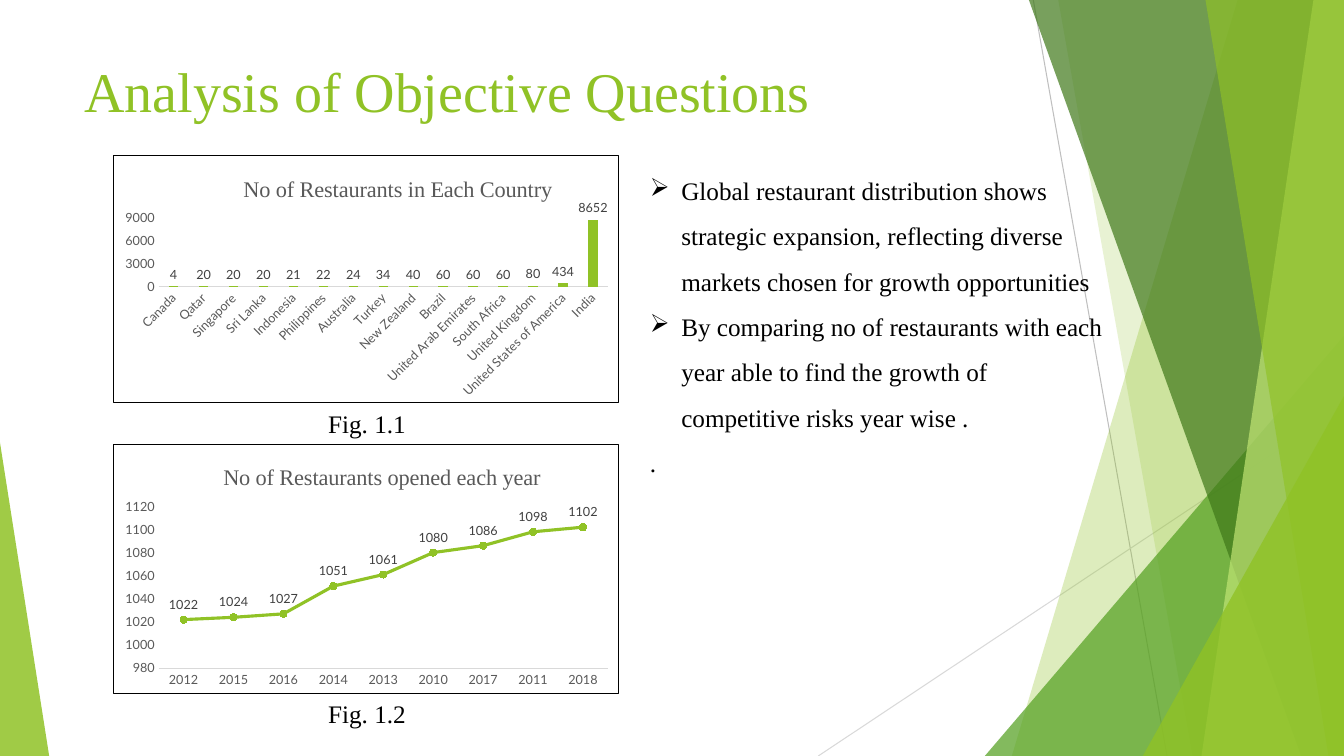
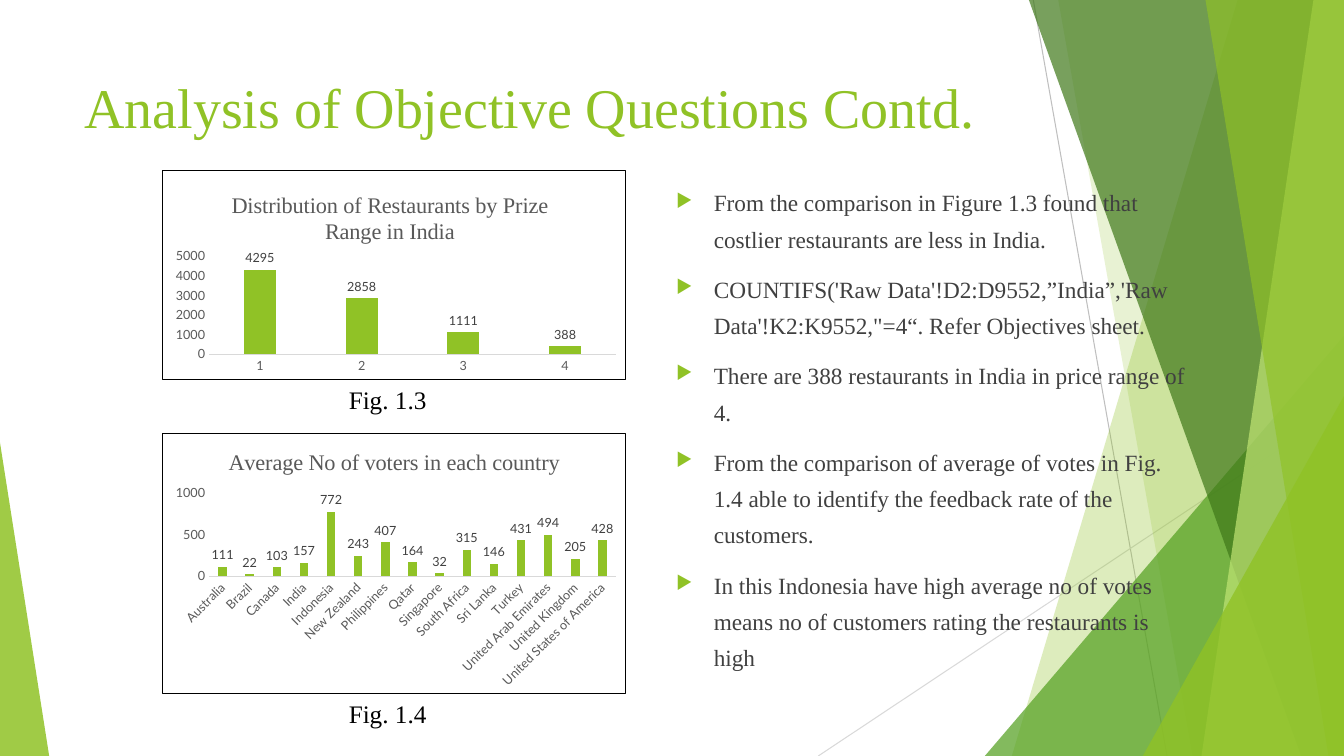
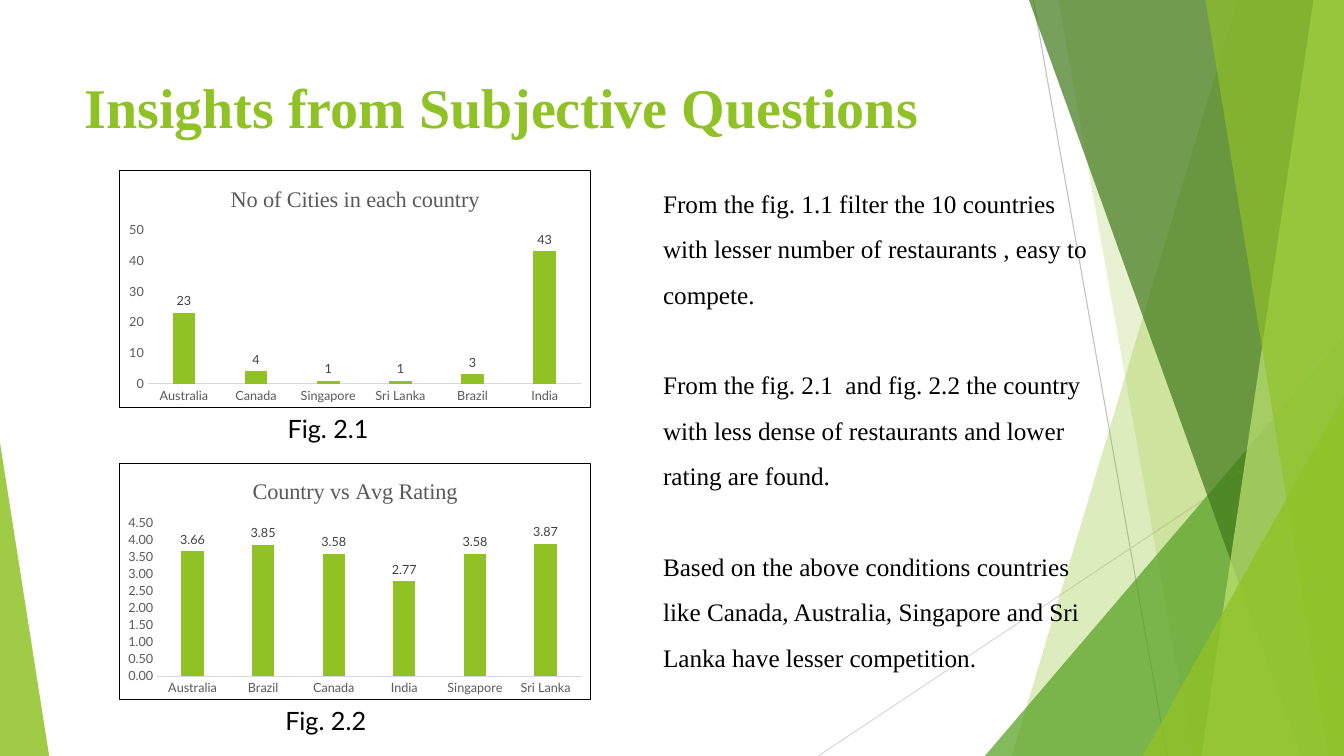
from pptx import Presentation
from pptx.chart.data import CategoryChartData
from pptx.dml.color import RGBColor
from pptx.enum.chart import XL_CHART_TYPE as Kind, XL_LABEL_POSITION as LabelPos
from pptx.enum.chart import XL_MARKER_STYLE as Marker, XL_TICK_MARK as Tick
from pptx.enum.shapes import MSO_CONNECTOR, MSO_SHAPE
from pptx.enum.text import MSO_ANCHOR
from pptx.oxml import parse_xml
from pptx.oxml.ns import nsdecls, qn
from pptx.util import Cm, Pt

WIDTH, HEIGHT = 33.87, 19.05
SERIF, SANS = "Times New Roman", "Lato"
GREEN, LEAF, FOREST, LIME = "90C226", "54A021", "3F7819", "C0E474"
BLACK, WHITE, INK, GREY, RULE = "000000", "FFFFFF", "404040", "595959", "D9D9D9"

FACETS = [
    ("line", (26.04, 0, 29.41, HEIGHT), "BFBFBF", 100),
    ("line", (WIDTH, 10.24, 20.62, HEIGHT), RULE, 100),
    ("band", (31.19, 25.5), GREEN, 30),
    ("band", (26.67, 30.05), GREEN, 20),
    ("triangle", (24.82, 8.46, 9.05, 10.59, 1), LEAF, 72),
    ("band", (25.93, 32.79), FOREST, 70),
    ("band", (33.1, 30.28), LIME, 70),
    ("band", (30.38, 33.48), GREEN, 65),
    ("triangle", (28.8, 9.98, 5.07, 9.07, 1), GREEN, 80),
    ("triangle", (0, 11.15, 1.24, 7.9, 0), GREEN, 85),
]


def rgb(hex_color):
    return RGBColor.from_string(hex_color)


def xml(tag, body="", attrs=""):
    return parse_xml(f"<{tag} {nsdecls('a', 'c')} {attrs}>{body}</{tag}>")


def style_font(font, size, color, face, bold=False):
    font.size, font.name, font.bold = Pt(size), face, bold
    font.color.rgb = rgb(color)


def write(slide, box, *lines, size=18, color=BLACK, face=SERIF, bold=False,
          spacing=None, before=0, first_before=0):
    frame = slide.shapes.add_textbox(*map(Cm, box)).text_frame
    frame.word_wrap = True
    frame.vertical_anchor = MSO_ANCHOR.TOP
    for number, line in enumerate(lines):
        paragraph = frame.add_paragraph() if number else frame.paragraphs[0]
        paragraph.space_before = Pt(before if number else first_before)
        if spacing:
            paragraph.line_spacing = spacing
        run = paragraph.add_run()
        run.text = line
        style_font(run.font, size, color, face, bold)
    return frame.paragraphs


def add_bullets(paragraphs, mark, indent, color=BLACK, percent=100):
    for paragraph in paragraphs:
        props = paragraph._p.get_or_add_pPr()
        props.set("marL", str(Cm(indent)))
        props.set("indent", str(-Cm(indent)))
        props.append(xml("a:buClr", f'<a:srgbClr val="{color}"/>'))
        props.append(xml("a:buSzPct", attrs=f'val="{percent * 1000}"'))
        props.append(xml("a:buChar", attrs=f'char="{mark}"'))


def add_facet(slide, form, place, color, alpha):
    if form == "line":
        line = slide.shapes.add_connector(MSO_CONNECTOR.STRAIGHT, *map(Cm, place))
        line.line.color.rgb = rgb(color)
        line.line.width = Pt(0.75)
        line._element.spPr.append(xml("a:effectLst"))
        return
    if form == "band":
        top, bottom = place
        outline = slide.shapes.build_freeform(Cm(top), 0)
        outline.add_line_segments([(Cm(x), Cm(y)) for x, y in (
            (WIDTH, 0), (WIDTH, HEIGHT), (bottom, HEIGHT))], close=True)
        facet = outline.convert_to_shape()
    else:
        facet = slide.shapes.add_shape(MSO_SHAPE.ISOSCELES_TRIANGLE, *map(Cm, place[:4]))
        facet.adjustments[0] = place[4]
    facet.shadow.inherit = False
    facet.line.fill.background()
    facet.fill.solid()
    facet.fill.fore_color.rgb = rgb(color)
    tint = facet._element.spPr.find(qn("a:solidFill"))[0]
    tint.append(xml("a:alpha", attrs=f'val="{alpha * 1000}"'))


def start_slide(deck, title, top=1.7, bold=False):
    slide = deck.slides.add_slide(deck.slide_layouts[6])
    for facet in FACETS:
        add_facet(slide, *facet)
    write(slide, (1.88, top, 23.88, 1.98), title, size=40, color=GREEN, bold=bold)
    return slide


def set_layout(parent, index, inner=False, **place):
    for old in parent.findall(qn("c:layout")):
        parent.remove(old)
    target = '<c:layoutTarget val="inner"/>' if inner else ""
    modes = '<c:xMode val="edge"/><c:yMode val="edge"/>'
    sizes = "".join(f'<c:{key} val="{value}"/>' for key, value in place.items())
    parent.insert(index, xml(
        "c:layout", f"<c:manualLayout>{target}{modes}{sizes}</c:manualLayout>"))


def frame_chart(chart):
    space = chart._chartSpace
    if space.find(qn("c:roundedCorners")) is None:
        space.insert(1, xml("c:roundedCorners", attrs='val="0"'))
    space.find(qn("c:chart")).addnext(xml(
        "c:spPr",
        f'<a:solidFill><a:srgbClr val="{WHITE}"/></a:solidFill>'
        f'<a:ln w="{Pt(0.75)}"><a:solidFill><a:srgbClr val="{BLACK}"/></a:solidFill></a:ln>'))


def style_axes(chart, scale, number_format, tilted):
    names, values = chart.category_axis, chart.value_axis
    for axis in (names, values):
        axis.has_major_gridlines = False
        axis.major_tick_mark = axis.minor_tick_mark = Tick.NONE
        style_font(axis.tick_labels.font, 9, GREY, SANS)
    names.format.line.color.rgb = rgb(RULE)
    names.format.line.width = Pt(0.75)
    if tilted:
        names._element.find(qn("c:txPr")).find(qn("a:bodyPr")).set("rot", "-2700000")
    values.format.line.fill.background()
    values.minimum_scale, values.maximum_scale, values.major_unit = scale
    values.tick_labels.number_format = number_format
    values.tick_labels.number_format_is_linked = False


def style_series(plot, number_format, trend, overlap):
    plot.vary_by_categories = False
    series = plot.series[0]
    if trend:
        series.smooth = False
        series.format.line.color.rgb = rgb(GREEN)
        series.format.line.width = Pt(2.25)
        series.marker.style, series.marker.size = Marker.CIRCLE, 5
        dot = series.marker.format
        dot.fill.solid()
        dot.fill.fore_color.rgb = rgb(GREEN)
        dot.line.color.rgb = rgb(GREEN)
    else:
        plot.gap_width, plot.overlap = 219, overlap
        series.format.fill.solid()
        series.format.fill.fore_color.rgb = rgb(GREEN)
    plot.has_data_labels = True
    labels = plot.data_labels
    labels.show_value = True
    labels.position = LabelPos.ABOVE if trend else LabelPos.OUTSIDE_END
    labels.number_format, labels.number_format_is_linked = number_format, False
    style_font(labels.font, 9, INK, SANS)


def add_figure(slide, box, title, points, scale, area, caption, caption_shift,
               caption_face=SERIF, number_format="General", trend=False,
               tilted=False, overlap=-27, title_at=None):
    left, top, width, height = box
    data = CategoryChartData()
    data.categories = list(points)
    data.add_series("Series 1", list(points.values()))
    kind = Kind.LINE_MARKERS if trend else Kind.COLUMN_CLUSTERED
    chart = slide.shapes.add_chart(kind, *map(Cm, box), data).chart
    style_font(chart.font, 10, BLACK, SANS)
    chart.has_legend = False
    chart.has_title = True
    heading = chart.chart_title.text_frame
    heading.text = title
    style_font(heading.paragraphs[0].runs[0].font, 16, GREY, SERIF)
    if title_at:
        set_layout(chart.chart_title._element, 1, x=title_at[0], y=title_at[1])
    x, y, w, h = area
    set_layout(chart._chartSpace.find(qn("c:chart")).find(qn("c:plotArea")), 0,
               inner=True, x=x, y=y, w=w, h=h)
    style_axes(chart, scale, number_format, tilted)
    style_series(chart.plots[0], number_format, trend, overlap)
    frame_chart(chart)
    write(slide, (left + caption_shift, top + height, 3.4, 1.02), caption, face=caption_face)


def build_objective(deck):
    slide = start_slide(deck, "Analysis of Objective Questions", top=1.3)
    restaurants = {
        "Canada": 4, "Qatar": 20, "Singapore": 20, "Sri Lanka": 20, "Indonesia": 21,
        "Philippines": 22, "Australia": 24, "Turkey": 34, "New Zealand": 40,
        "Brazil": 60, "United Arab Emirates": 60, "South Africa": 60,
        "United Kingdom": 80, "United States of America": 434, "India": 8652}
    openings = {"2012": 1022, "2015": 1024, "2016": 1027, "2014": 1051, "2013": 1061,
                "2010": 1080, "2017": 1086, "2011": 1098, "2018": 1102}
    add_figure(slide, (2.84, 3.91, 12.75, 6.25), "No of Restaurants in Each Country",
               restaurants, (0, 9000, 3000), (0.09, 0.25, 0.89, 0.28), "Fig. 1.1", 5.18,
               tilted=True, overlap=0, title_at=(0.25, 0.06))
    add_figure(slide, (2.84, 11.18, 12.75, 6.3), "No of Restaurants opened each year",
               openings, (980, 1120, 20), (0.09, 0.25, 0.89, 0.65), "Fig. 1.2", 5.18,
               trend=True, title_at=(0.21, 0.06))
    findings = write(
        slide, (16.13, 3.91, 12.14, 8.33),
        "Global restaurant distribution shows strategic expansion, reflecting diverse "
        "markets chosen for growth opportunities",
        "By comparing no of restaurants with each year able to find the growth of "
        "competitive risks year wise .",
        ".", spacing=1.5)
    add_bullets(findings[:2], "➢", 0.79)


def build_objective_contd(deck):
    slide = start_slide(deck, "Analysis of Objective Questions Contd.")
    findings = write(
        slide, (16.79, 4.42, 13.54, 13.56),
        "From the comparison in Figure 1.3 found that costlier restaurants are less in India.",
        "COUNTIFS('Raw Data'!D2:D9552,”India”,'Raw Data'!K2:K9552,\"=4“. "
        "Refer Objectives sheet.",
        "There are 388 restaurants in India in price range of 4.",
        "From the comparison of average of votes in Fig. 1.4 able to identify the "
        "feedback rate of the customers.",
        "In this Indonesia have high average no of votes means no of customers rating "
        "the restaurants is high",
        size=16.6, color=INK, spacing=1.3, before=10, first_before=10)
    add_bullets(findings, "▶", 0.95, color=GREEN, percent=80)
    price_ranges = {"1": 4295, "2": 2858, "3": 1111, "4": 388}
    voters = {
        "Australia": 111, "Brazil": 22, "Canada": 103, "India": 157, "Indonesia": 772,
        "New Zealand": 243, "Philippines": 407, "Qatar": 164, "Singapore": 32,
        "South Africa": 315, "Sri Lanka": 146, "Turkey": 431,
        "United Arab Emirates": 494, "United Kingdom": 205,
        "United States of America": 428}
    add_figure(slide, (4.09, 4.29, 11.68, 5.28),
               "Distribution of Restaurants by Prize Range in India",
               price_ranges, (0, 5000, 1000), (0.1, 0.41, 0.88, 0.47), "Fig. 1.3", 4.45,
               title_at=(0.14, 0.08))
    add_figure(slide, (4.09, 10.9, 11.68, 6.58), "Average No of voters in each country",
               voters, (0, 1000, 500), (0.1, 0.23, 0.88, 0.32), "Fig. 1.4", 4.45,
               number_format="0", tilted=True)


def build_subjective(deck):
    slide = start_slide(deck, "Insights from Subjective Questions", bold=True)
    cities = {"Australia": 23, "Canada": 4, "Singapore": 1, "Sri Lanka": 1,
              "Brazil": 3, "India": 43}
    ratings = {"Australia": 3.66, "Brazil": 3.85, "Canada": 3.58, "India": 2.77,
               "Singapore": 3.58, "Sri Lanka": 3.87}
    add_figure(slide, (3, 4.29, 11.89, 5.99), "No of Cities in each country",
               cities, (0, 50, 10), (0.06, 0.25, 0.92, 0.65), "Fig. 2.1", 4,
               caption_face=SANS)
    add_figure(slide, (3, 11.66, 11.89, 5.99), "Country vs Avg Rating",
               ratings, (0, 4.5, 0.5), (0.08, 0.25, 0.9, 0.65), "Fig. 2.2", 3.94,
               caption_face=SANS, number_format="0.00")
    write(slide, (16.46, 4.24, 11.25, 12.8),
          "From the fig. 1.1 filter the 10 countries with lesser number of restaurants , "
          "easy to compete.",
          "From the fig. 2.1  and fig. 2.2 the country with less dense of restaurants and "
          "lower rating are found.",
          "Based on the above conditions countries like Canada, Australia, Singapore and "
          "Sri Lanka have lesser competition.",
          spacing=1.5, before=32.4)


def main():
    deck = Presentation()
    deck.slide_width, deck.slide_height = Cm(WIDTH), Cm(HEIGHT)
    build_objective(deck)
    build_objective_contd(deck)
    build_subjective(deck)
    deck.save("out.pptx")


if __name__ == "__main__":
    main()
